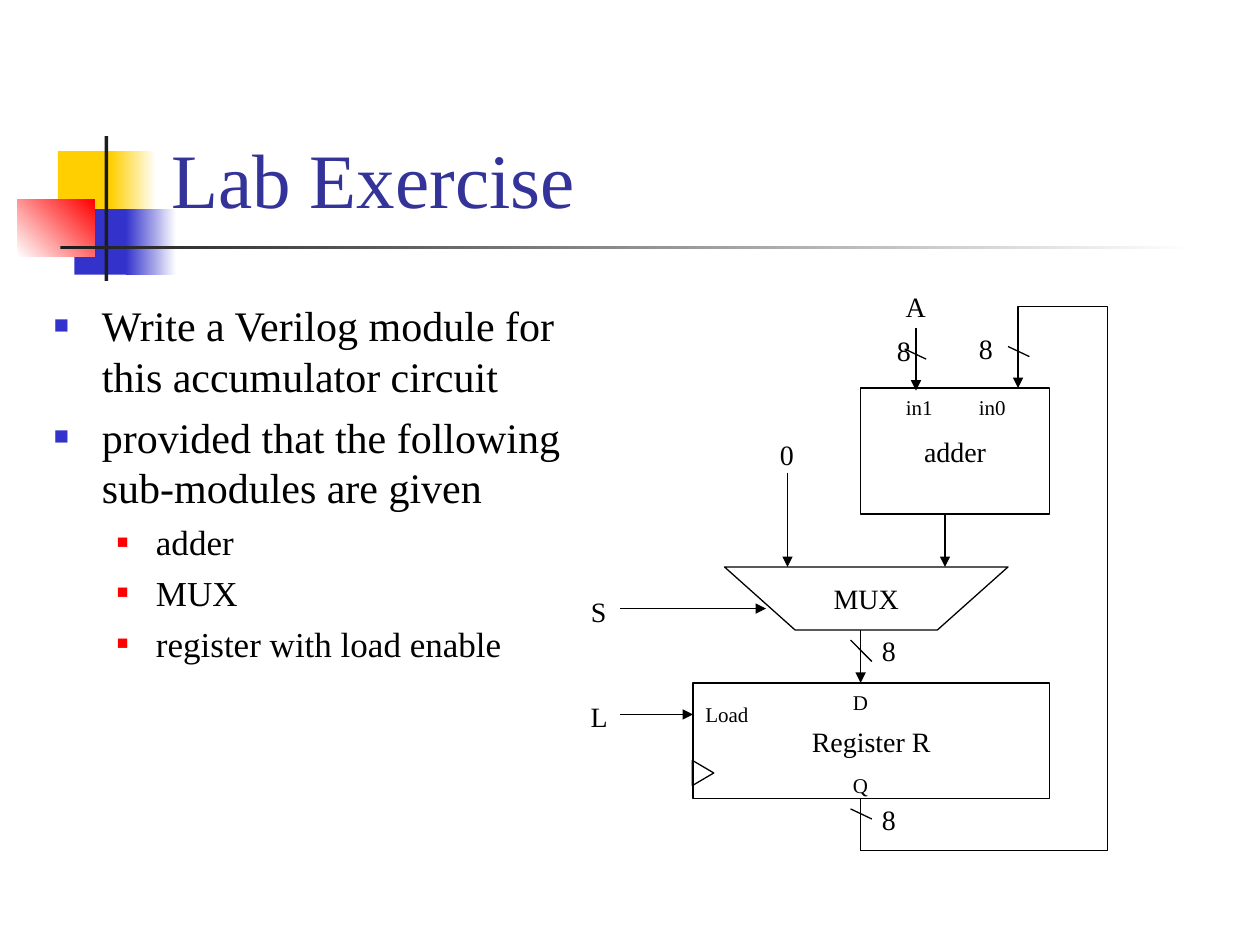
from typing import NamedTuple, Optional

import pptx
import pptx.dml.color
import pptx.enum.shapes
import pptx.enum.text
import pptx.oxml
import pptx.oxml.ns
import pptx.util
from pptx.util import Inches

MSO = pptx.enum.shapes.MSO_SHAPE
ANCHOR = pptx.enum.text.MSO_ANCHOR
ALIGN = pptx.enum.text.PP_ALIGN
AUTO = pptx.enum.text.MSO_AUTO_SIZE
NS = pptx.oxml.ns.nsdecls("a")
FONT = "Times New Roman"
LINE_WIDTH = pptx.util.Pt(0.74)
COLORS = {
    "yellow": "FFCF01", "blue": "3333CC", "red": "FF0000", "dark": "1C1C1C",
    "white": "FFFFFF", "black": "000000", "title": "333399",
}


class Block(NamedTuple):
    """A decoration block, solid or fading to a second colour."""
    x: float
    y: float
    w: float
    h: float
    color: str
    fade: Optional[str] = None
    angle: float = 0


class Label(NamedTuple):
    """A short text of the circuit."""
    text: str
    x: float
    y: float
    w: float
    size: int = 16


class Wire(NamedTuple):
    """A straight line, with or without an arrowhead."""
    x1: float
    y1: float
    x2: float
    y2: float
    arrow: bool = False


class Bullet(NamedTuple):
    """One list entry."""
    text: str
    level: int = 0


class Level(NamedTuple):
    """The look of a list level."""
    size: int
    margin: float
    hang: float
    before: int
    color: str
    percent: int


BLOCKS = [
    Block(0.46, 1.2, 0.48, 0.52, "yellow"),
    Block(0.88, 1.2, 0.36, 0.52, "yellow", "white"),
    Block(0.59, 1.66, 0.46, 0.52, "blue"),
    Block(1, 1.66, 0.4, 0.52, "blue", "white"),
    Block(0.14, 1.58, 0.61, 0.46, "white", "red", 45),
    Block(0.83, 1.08, 0.03, 1.15, "dark"),
    Block(0.48, 1.95, 9, 0.03, "dark", "white"),
]
LEVELS = [Level(24, 0.38, 0.38, 6, "blue", 60), Level(20, 0.81, 0.31, 5, "red", 55)]
BULLETS = [
    Bullet("Write a Verilog module for this accumulator circuit"),
    Bullet("provided that the following sub-modules are given"),
    Bullet("adder", 1), Bullet("MUX", 1), Bullet("register with load enable", 1),
]
WIRES = [
    Wire(6.83, 5, 6.83, 5.42, True), Wire(7.5, 4.08, 7.5, 4.5, True),
    Wire(6.25, 3.75, 6.25, 4.5, True), Wire(6.83, 6.33, 6.83, 6.75),
    Wire(7.27, 2.6, 7.27, 3.1, True), Wire(8.08, 2.58, 8.08, 3.08, True),
    Wire(4.92, 5.67, 5.5, 5.67, True), Wire(4.92, 4.83, 6.08, 4.83, True),
    Wire(7.18, 2.77, 7.35, 2.85), Wire(8, 2.75, 8.17, 2.83),
    Wire(6.75, 5.08, 6.92, 5.25), Wire(6.75, 6.42, 6.92, 6.5),
]
LABELS = [
    Label("A", 7.09, 2.25, 0.36), Label("0", 6.09, 3.42, 0.31),
    Label("S", 4.59, 4.67, 0.32), Label("L", 4.59, 5.5, 0.33),
    Label("8", 7.02, 2.6, 0.31), Label("8", 7.67, 2.58, 0.31),
    Label("8", 6.9, 4.98, 0.31), Label("8", 6.9, 6.32, 0.31),
    Label("in1", 7.09, 3.08, 0.41, 12), Label("in0", 7.67, 3.08, 0.41, 12),
    Label("Load", 5.5, 5.52, 0.54, 12), Label("D", 6.67, 5.42, 0.32, 12),
    Label("Q", 6.67, 6.08, 0.32, 12),
]
MUX_OUTLINE = [(5.75, 4.5), (6.31, 5), (7.44, 5), (8, 4.5)]
FEEDBACK = [(6.83, 6.75), (8.79, 6.75), (8.79, 2.43), (8.08, 2.43), (8.08, 2.58)]


def rgb(name: str) -> pptx.dml.color.RGBColor:
    """Return the named colour."""
    return pptx.dml.color.RGBColor.from_string(COLORS[name])


def apply(target, values: dict) -> None:
    """Set each format value on the target."""
    for name, value in values.items():
        setattr(target, name, value)


def write(p, text: str, size: int, color: str = "black") -> None:
    """Add a formatted run to a paragraph."""
    r = p.add_run()
    r.text = text
    apply(r.font, {"name": FONT, "size": pptx.util.Pt(size)})
    r.font.color.rgb = rgb(color)


def add_block(shapes, block: Block) -> None:
    """Draw one decoration block."""
    sp = shapes.add_shape(MSO.RECTANGLE, *map(Inches, block[:4]))
    sp.shadow.inherit = False
    sp.line.fill.background()
    if block.fade is None:
        sp.fill.solid()
        sp.fill.fore_color.rgb = rgb(block.color)
        return
    sp.fill.gradient()
    sp.fill.gradient_angle = block.angle
    for stop, color in zip(sp.fill.gradient_stops, (block.color, block.fade)):
        stop.color.rgb = rgb(color)


def add_box(shapes, x: float, y: float, w: float, h: float, **values):
    """Add a text box and return its text frame."""
    tf = shapes.add_textbox(*map(Inches, (x, y, w, h))).text_frame
    apply(tf, {"word_wrap": True, **values})
    return tf


def add_bullet(p, bullet: Bullet) -> None:
    """Fill a paragraph with a bulleted entry."""
    level = LEVELS[bullet.level]
    apply(p, {"level": bullet.level, "space_before": pptx.util.Pt(level.before)})
    write(p, bullet.text, level.size)
    pPr = p._p.get_or_add_pPr()
    pPr.set("marL", str(Inches(level.margin)))
    pPr.set("indent", str(-Inches(level.hang)))
    for xml in (
        f'<a:buClr {NS}><a:srgbClr val="{COLORS[level.color]}"/></a:buClr>',
        f'<a:buSzPct {NS} val="{level.percent * 1000}"/>',
        f'<a:buFont {NS} typeface="{FONT}"/>',
        f'<a:buChar {NS} char="\u25a0"/>',
    ):
        pPr.append(pptx.oxml.parse_xml(xml))


def outline(sp, text: str = "") -> None:
    """Give a shape a thin black outline and centred text."""
    sp.shadow.inherit = False
    sp.fill.background()
    sp.line.width = LINE_WIDTH
    sp.line.color.rgb = rgb("black")
    if text:
        tf = sp.text_frame
        apply(tf, {"word_wrap": False, "vertical_anchor": ANCHOR.MIDDLE})
        tf.paragraphs[0].alignment = ALIGN.CENTER
        write(tf.paragraphs[0], text, 16)


def add_path(shapes, points: list, close: bool):
    """Draw a path through the points."""
    start, *rest = [(Inches(x), Inches(y)) for x, y in points]
    builder = shapes.build_freeform(*start)
    builder.add_line_segments(rest, close=close)
    return builder.convert_to_shape()


def add_wire(shapes, wire: Wire) -> None:
    """Draw one straight wire."""
    line = shapes.add_connector(
        pptx.enum.shapes.MSO_CONNECTOR.STRAIGHT, *map(Inches, wire[:4]))
    line.line.width = LINE_WIDTH
    line.line.color.rgb = rgb("black")
    if wire.arrow:
        line.line._get_or_add_ln().append(
            pptx.oxml.parse_xml(f'<a:tailEnd {NS} type="triangle"/>'))
    line._element.spPr.append(pptx.oxml.parse_xml(f"<a:effectLst {NS}/>"))


def main() -> None:
    """Build the slide and save it."""
    prs = pptx.Presentation()
    apply(prs, {"slide_width": Inches(10), "slide_height": Inches(7.5)})
    shapes = prs.slides.add_slide(prs.slide_layouts[6]).shapes
    for block in BLOCKS:
        add_block(shapes, block)
    tf = add_box(shapes, 1.26, 0.23, 8.52, 1.6, vertical_anchor=ANCHOR.BOTTOM)
    write(tf.paragraphs[0], "Lab Exercise", 44, "title")
    tf = add_box(shapes, 0.33, 2.33, 4.33, 3.08)
    for i, bullet in enumerate(BULLETS):
        add_bullet(tf.add_paragraph() if i else tf.paragraphs[0], bullet)

    for text, *box in (("Register R", 5.5, 5.42, 2.83, 0.92), ("adder", 6.83, 3.08, 1.5, 1)):
        outline(shapes.add_shape(MSO.RECTANGLE, *map(Inches, box)), text)
    clock = shapes.add_shape(MSO.ISOSCELES_TRIANGLE, *map(Inches, (5.48, 6.05, 0.2, 0.17)))
    clock.rotation = 90
    outline(clock)
    outline(add_path(shapes, MUX_OUTLINE, True), "MUX")
    outline(add_path(shapes, FEEDBACK, False))
    for wire in WIRES:
        add_wire(shapes, wire)
    for label in LABELS:
        height = 0.37 if label.size == 16 else 0.3
        tf = add_box(shapes, label.x, label.y, label.w, height,
                     word_wrap=False, auto_size=AUTO.SHAPE_TO_FIT_TEXT)
        write(tf.paragraphs[0], label.text, label.size)
    prs.save("out.pptx")


main()
